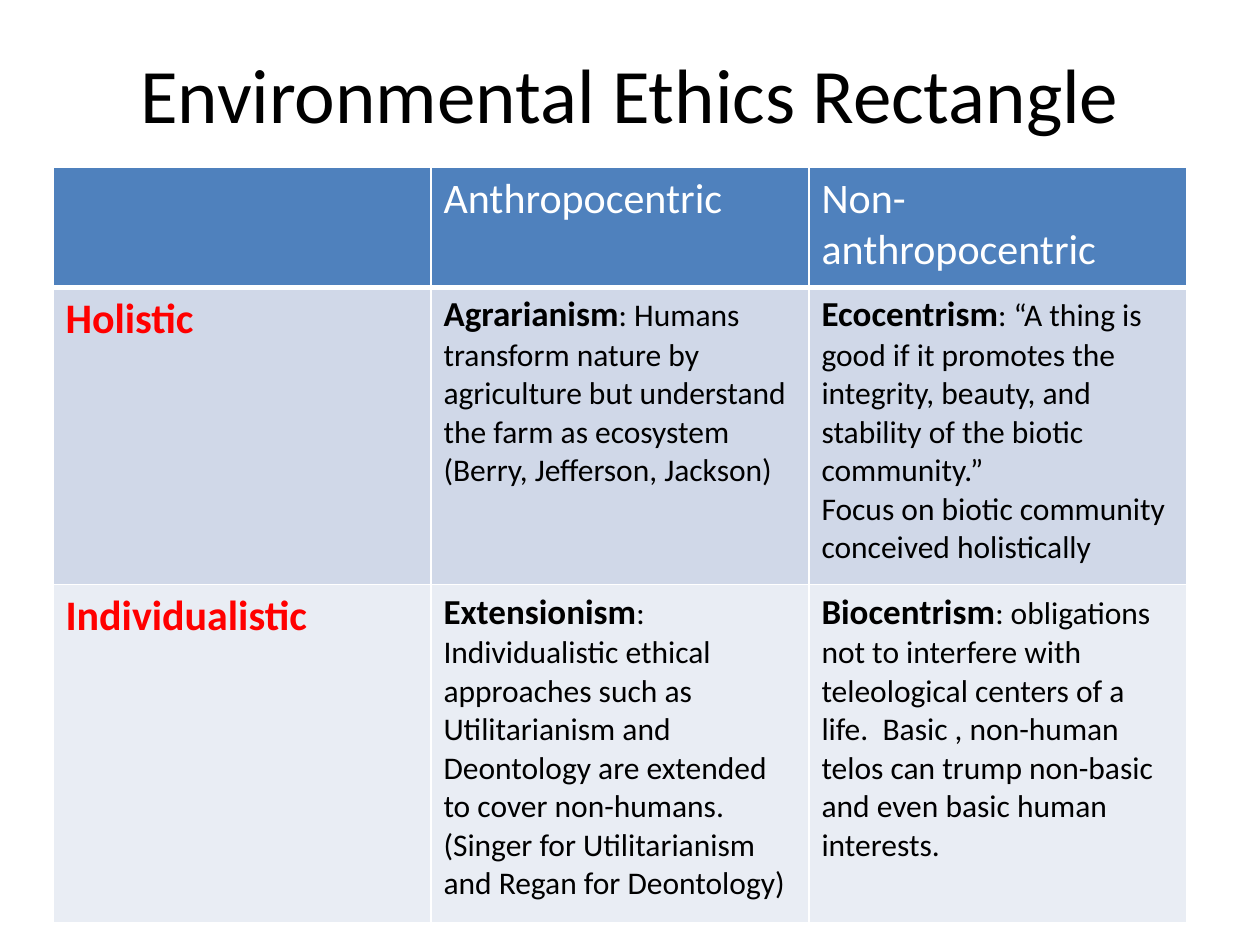
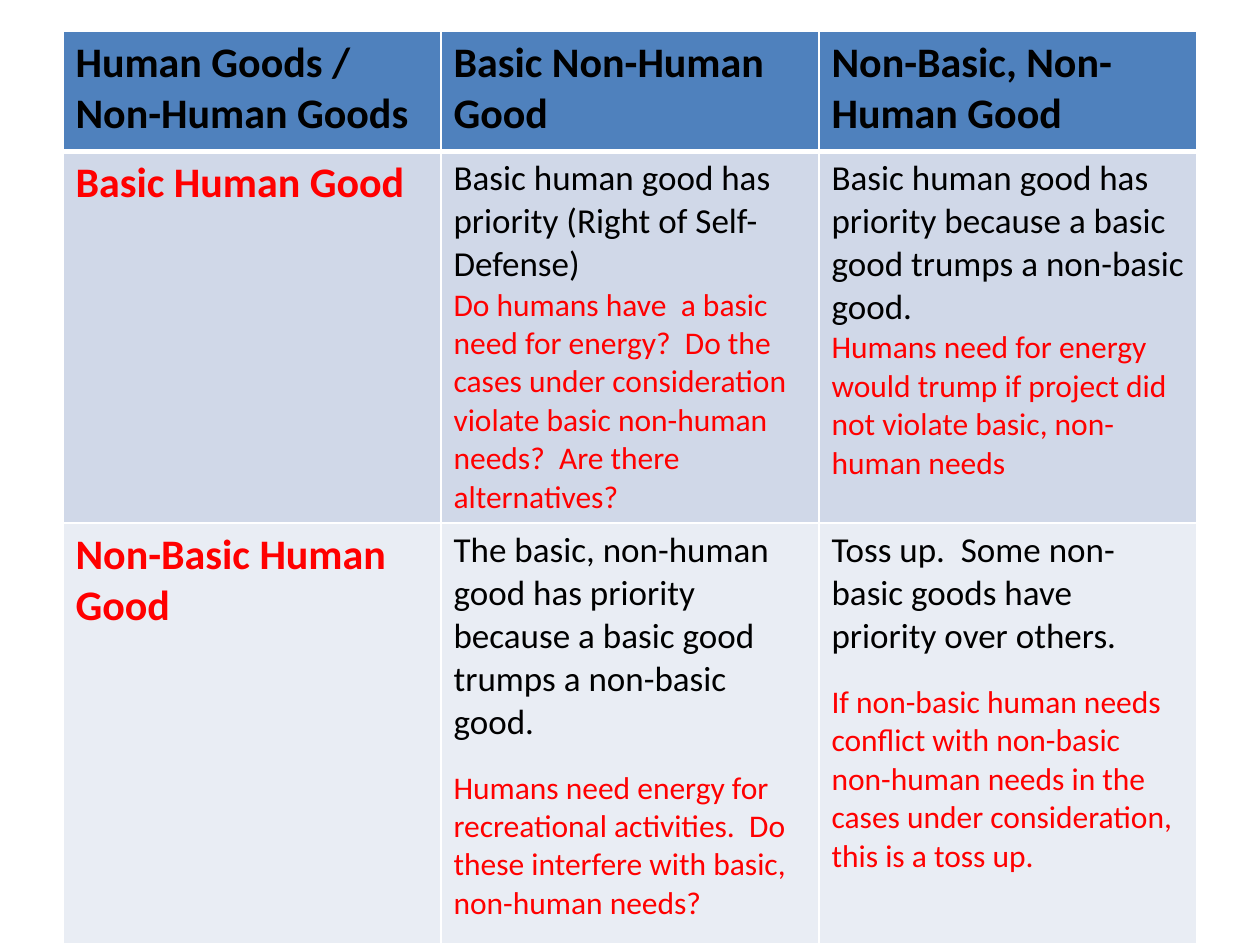
"""Build two slides of environmental ethics tables."""
from lxml.etree import SubElement
from pptx import Presentation
from pptx.dml.color import RGBColor
from pptx.enum.text import MSO_ANCHOR, PP_ALIGN
from pptx.oxml.ns import qn
from pptx.util import Inches, Pt

FONT = "Calibri"
WHITE, BLACK, RED = "FFFFFF", "000000", "FF0000"
ROW_FILLS = ["4F81BD", "D0D8E8", "E9EDF4"]
STYLES = {
    "title": (44, BLACK, False),
    "column": (24, WHITE, False),
    "strong column": (24, BLACK, True),
    "row": (24, RED, True),
    "term": (20, BLACK, True),
    "meaning": (18, BLACK, False),
    "rule": (20, BLACK, False),
    "question": (18, RED, False),
}
COLUMN_WIDTH = 3
TITLE_BOX = (0.5, 0.3, 9, 0.87)


def one(text, style):
    """Return a cell with a single run."""
    return [[(text, style)]]


def term(name, meaning, *more):
    """Return a cell with a defined term and further paragraphs."""
    return [[(name, "term"), (meaning, "meaning")]] + [[(m, "meaning")] for m in more]


def verdict(rule, question):
    """Return a cell with a priority rule and a question on it."""
    return [[(rule, "rule")], [(question, "question")]]


SLIDES = [
    {
        "title": "Environmental Ethics Rectangle",
        "corner": (0.42, 1.33),
        "heights": [0.95, 2.36, 2.68],
        "gaps": [0, 0, 0],
        "rows": [
            [[], one("Anthropocentric", "column"), one("Non-anthropocentric", "column")],
            [
                one("Holistic", "row"),
                term("Agrarianism", ": Humans transform nature by agriculture but understand "
                     "the farm as ecosystem (Berry, Jefferson, Jackson)"),
                term("Ecocentrism", ": “A thing is good if it promotes the integrity, beauty, "
                     "and stability of the biotic community.”",
                     "Focus on biotic community conceived holistically"),
            ],
            [
                one("Individualistic", "row"),
                term("Extensionism", ": Individualistic ethical approaches such as "
                     "Utilitarianism and Deontology are extended to cover non-humans. "
                     "(Singer for Utilitarianism and Regan for Deontology)"),
                term("Biocentrism", ": obligations not to interfere with teleological centers "
                     "of a life.  Basic , non-human telos can trump non-basic and even basic "
                     "human interests."),
            ],
        ],
    },
    {
        "title": None,
        "corner": (0.5, 0.25),
        "heights": [0.95, 2.95, 3.34],
        "gaps": [0, 0, 14.6],
        "rows": [
            [one(t, "strong column") for t in (
                "Human Goods / Non-Human Goods",
                "Basic Non-Human Good",
                "Non-Basic, Non-Human Good")],
            [
                one("Basic Human Good", "row"),
                verdict("Basic human good has priority (Right of Self-Defense)",
                        "Do humans have  a basic need for energy?  Do the cases under "
                        "consideration violate basic non-human needs?  Are there alternatives?"),
                verdict("Basic human good has priority because a basic good trumps a "
                        "non-basic good.",
                        "Humans need for energy would trump if project did not violate basic, "
                        "non-human needs"),
            ],
            [
                one("Non-Basic Human Good", "row"),
                verdict("The basic, non-human good has priority because a basic good trumps "
                        "a non-basic good.",
                        "Humans need energy for recreational activities.  Do these interfere "
                        "with basic, non-human needs?"),
                verdict("Toss up.  Some non-basic goods have priority over others.",
                        "If non-basic human needs conflict with non-basic non-human needs in "
                        "the cases under consideration, this is a toss up."),
            ],
        ],
    },
]


def color(value):
    """Turn a hex string into a colour."""
    return RGBColor.from_string(value)


def write(tf, paragraphs, gap=0):
    """Write paragraphs of styled runs, with a gap in points between them."""
    for i, runs in enumerate(paragraphs):
        p = tf.add_paragraph() if i else tf.paragraphs[0]
        if i and gap:
            p.space_before = Pt(gap)
        for text, style in runs:
            r = p.add_run()
            r.text = text
            size, ink, bold = STYLES[style]
            r.font.name, r.font.size, r.font.bold = FONT, Pt(size), bold
            r.font.color.rgb = color(ink)


def add_borders(cell, bottom):
    """Give a cell white borders, with its own bottom width in points."""
    pr = cell._tc.get_or_add_tcPr()
    for side, width in (("L", 1), ("R", 1), ("T", 1), ("B", bottom)):
        ln = SubElement(pr, qn(f"a:ln{side}"), w=str(Pt(width)))
        fill = SubElement(ln, qn("a:solidFill"))
        SubElement(fill, qn("a:srgbClr"), val=WHITE)


def add_title(s, title):
    """Add the centred slide title."""
    tf = s.shapes.add_textbox(*map(Inches, TITLE_BOX)).text_frame
    tf.word_wrap = True
    tf.vertical_anchor = MSO_ANCHOR.MIDDLE
    write(tf, one(title, "title"))
    tf.paragraphs[0].alignment = PP_ALIGN.CENTER


def add_grid(s, corner, heights, gaps, rows):
    """Add the table of views, filled row by row."""
    columns = len(rows[0])
    size = (columns * COLUMN_WIDTH, sum(heights))
    table = s.shapes.add_table(len(rows), columns, *map(Inches, corner + size)).table
    for i, cells in enumerate(rows):
        table.rows[i].height = Inches(heights[i])
        for j, paragraphs in enumerate(cells):
            cell = table.cell(i, j)
            add_borders(cell, 1 if i else 3)
            cell.fill.solid()
            cell.fill.fore_color.rgb = color(ROW_FILLS[i])
            write(cell.text_frame, paragraphs, gaps[i])


def main():
    """Build and save the slides."""
    prs = Presentation()
    prs.slide_width, prs.slide_height = Inches(10), Inches(7.5)
    for content in SLIDES:
        s = prs.slides.add_slide(prs.slide_layouts[6])
        if content["title"]:
            add_title(s, content["title"])
        add_grid(s, content["corner"], content["heights"], content["gaps"], content["rows"])
    prs.save("out.pptx")


if __name__ == "__main__":
    main()
